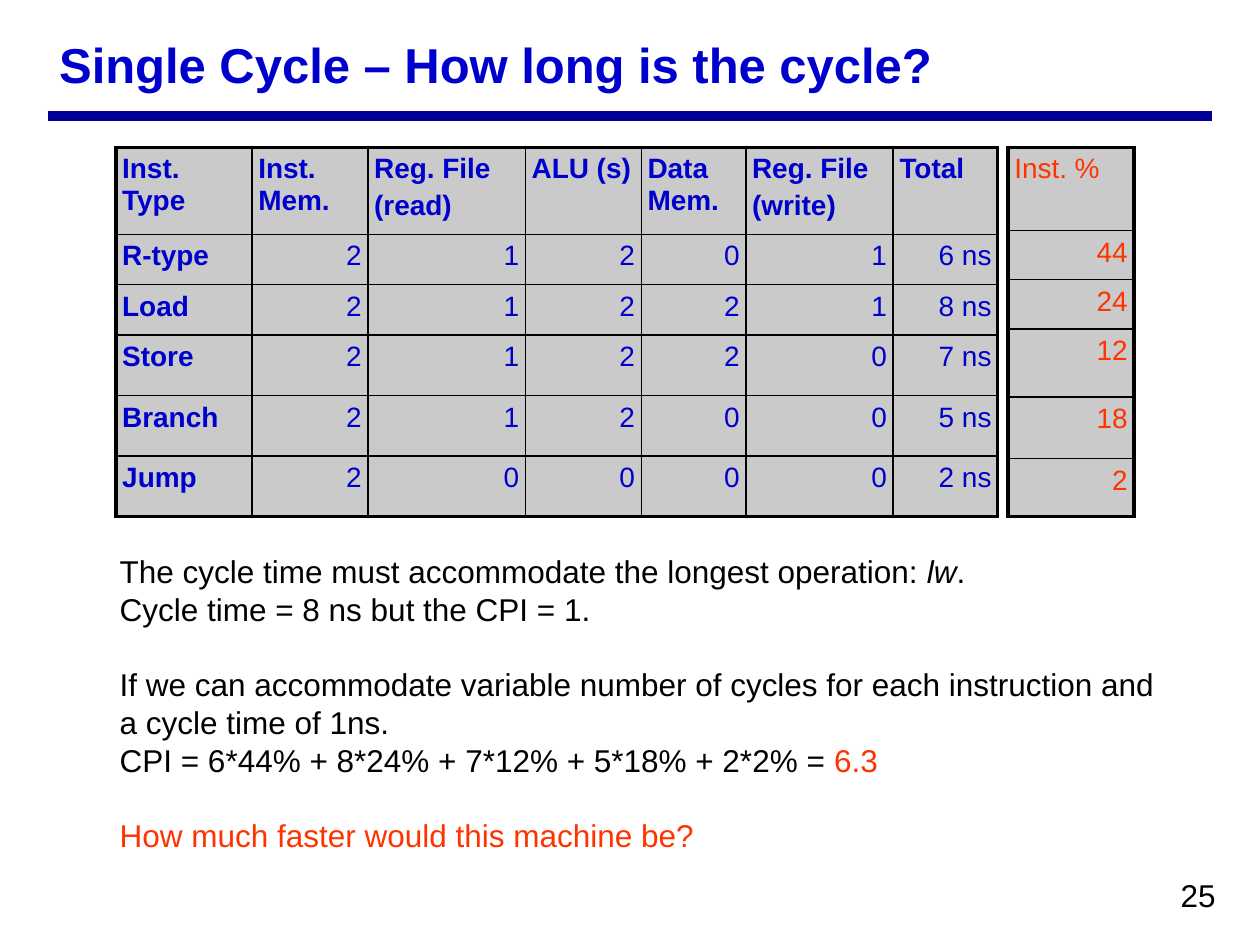
from dataclasses import dataclass

from lxml import etree
from pptx import Presentation
from pptx import util as u
from pptx.dml.color import RGBColor
from pptx.enum import shapes, text
from pptx.oxml.ns import qn


@dataclass(frozen=True)
class Theme:
    font: str = "Arial"
    heading: str = "0000CC"
    rule: str = "000099"
    ink: str = "000000"
    accent: str = "FF3300"
    cell: str = "CACACA"
    title_size: float = 28
    body_size: float = 18
    table_size: float = 16
    outer_border: float = 2.25
    inner_border: float = 1
    inset: float = 0.05


class SlideBuilder:
    def __init__(self, slide, theme):
        self.slide = slide
        self.theme = theme

    def style(self, font, size, color, bold=False, italic=False):
        font.name = self.theme.font
        font.size = u.Pt(size)
        font.bold = bold
        font.italic = italic
        font.color.rgb = RGBColor.from_string(color)

    def set_margins(self, holder):
        inset = u.Inches(self.theme.inset)
        holder.margin_left = holder.margin_right = inset
        holder.margin_top = holder.margin_bottom = inset

    def rule(self, left, right, y, width):
        line = self.slide.shapes.add_connector(
            shapes.MSO_CONNECTOR.STRAIGHT,
            u.Inches(left), u.Inches(y), u.Inches(right), u.Inches(y))
        line.line.color.rgb = RGBColor.from_string(self.theme.rule)
        line.line.width = u.Pt(width)
        etree.SubElement(line._element.spPr, qn("a:effectLst"))

    def text_box(self, box, paragraphs, size, color, bold=False,
                 anchor=text.MSO_ANCHOR.TOP):
        """Each paragraph is (space before, [(words, style changes), ...])."""
        frame = self.slide.shapes.add_textbox(*map(u.Inches, box)).text_frame
        frame.word_wrap = True
        frame.vertical_anchor = anchor
        self.set_margins(frame)
        for index, (gap, pieces) in enumerate(paragraphs):
            paragraph = frame.add_paragraph() if index else frame.paragraphs[0]
            if gap:
                paragraph.space_before = u.Pt(gap)
            for words, changes in pieces:
                run = paragraph.add_run()
                run.text = words
                self.style(run.font, **{"size": size, "color": color,
                                        "bold": bold, **changes})

    def border(self, cell, side, width):
        line = etree.SubElement(cell._tc.get_or_add_tcPr(), qn(f"a:ln{side}"),
                                w=str(u.Pt(width)))
        fill = etree.SubElement(line, qn("a:solidFill"))
        etree.SubElement(fill, qn("a:srgbClr"), val=self.theme.ink)

    def table(self, left, top, widths, heights, rows, color, bold_labels):
        """Draw a grid with a heavy outline; bold labels fill row 0 and column 0."""
        theme = self.theme
        grid = self.slide.shapes.add_table(
            len(rows), len(widths), u.Inches(left), u.Inches(top),
            u.Inches(sum(widths)), u.Inches(sum(heights))).table
        grid.first_row = grid.horz_banding = False
        for column, width in zip(grid.columns, widths):
            column.width = u.Inches(width)
        last_row, last_column = len(rows) - 1, len(widths) - 1
        for r, (row, height) in enumerate(zip(rows, heights)):
            grid.rows[r].height = u.Inches(height)
            for c, words in enumerate(row):
                cell = grid.cell(r, c)
                outer = {"L": c == 0, "R": c == last_column,
                         "T": r == 0, "B": r == last_row}
                for side, heavy in outer.items():
                    self.border(cell, side, theme.outer_border if heavy
                                else theme.inner_border)
                cell.fill.solid()
                cell.fill.fore_color.rgb = RGBColor.from_string(theme.cell)
                self.set_margins(cell)
                cell.text_frame.text = words
                label = r == 0 or (c == 0 and bold_labels)
                for index, paragraph in enumerate(cell.text_frame.paragraphs):
                    if index:
                        paragraph.space_before = u.Pt(3)
                    paragraph.alignment = (text.PP_ALIGN.LEFT if label
                                           else text.PP_ALIGN.RIGHT)
                    self.style(paragraph.runs[0].font, theme.table_size, color,
                               bold=label and bold_labels)


LATENCIES = [
    ["Inst. Type", "Inst. Mem.", "Reg. File\n(read)", "ALU (s)", "Data Mem.",
     "Reg. File\n(write)", "Total"],
    ["R-type", "2", "1", "2", "0", "1", "6 ns"],
    ["Load", "2", "1", "2", "2", "1", "8 ns"],
    ["Store", "2", "1", "2", "2", "0", "7 ns"],
    ["Branch", "2", "1", "2", "0", "0", "5 ns"],
    ["Jump", "2", "0", "0", "0", "0", "2 ns"],
]
INSTRUCTION_MIX = [["Inst. %"], ["44"], ["24"], ["12"], ["18"], ["2"]]


def main():
    theme = Theme()
    deck = Presentation()
    deck.slide_width, deck.slide_height = u.Inches(10), u.Inches(7.5)
    page = SlideBuilder(deck.slides.add_slide(deck.slide_layouts[6]), theme)

    page.rule(0.38, 9.62, 0.92, 6)
    page.text_box((9.32, 6.9, 0.39, 0.38), [(0, [("25", {})])],
                  theme.body_size, theme.ink)
    page.text_box((0.42, 0.17, 8.33, 0.67),
                  [(0, [("Single Cycle – How long is the cycle?", {})])],
                  theme.title_size, theme.heading, bold=True,
                  anchor=text.MSO_ANCHOR.MIDDLE)

    page.table(0.92, 1.17, [1.08, 0.92, 1.25, 0.92, 0.83, 1.17, 0.83],
               [0.69, 0.4, 0.4, 0.48, 0.48, 0.48],
               LATENCIES, theme.heading, bold_labels=True)

    line_gap = 21.5
    accent = {"color": theme.accent}
    page.text_box((0.9, 4.33, 8.52, 2.43), [
        (0, [("The cycle time must accommodate the longest operation: ", {}),
             ("lw", {"italic": True}), (".", {})]),
        (0, [("Cycle time = 8 ns but the CPI = 1.", {})]),
        (line_gap, [("If we can accommodate variable number of cycles for each "
                     "instruction and a cycle time of 1ns.", {})]),
        (0, [("CPI = 6*44% + 8*24% + 7*12% + 5*18% + 2*2% = ", {}),
             ("6.3", accent)]),
        (line_gap, [("How much faster would this machine be?", accent)]),
    ], theme.body_size, theme.ink)

    page.table(8, 1.17, [1], [0.66, 0.39, 0.39, 0.54, 0.49, 0.46],
               INSTRUCTION_MIX, theme.accent, bold_labels=False)

    deck.save("out.pptx")


if __name__ == "__main__":
    main()
